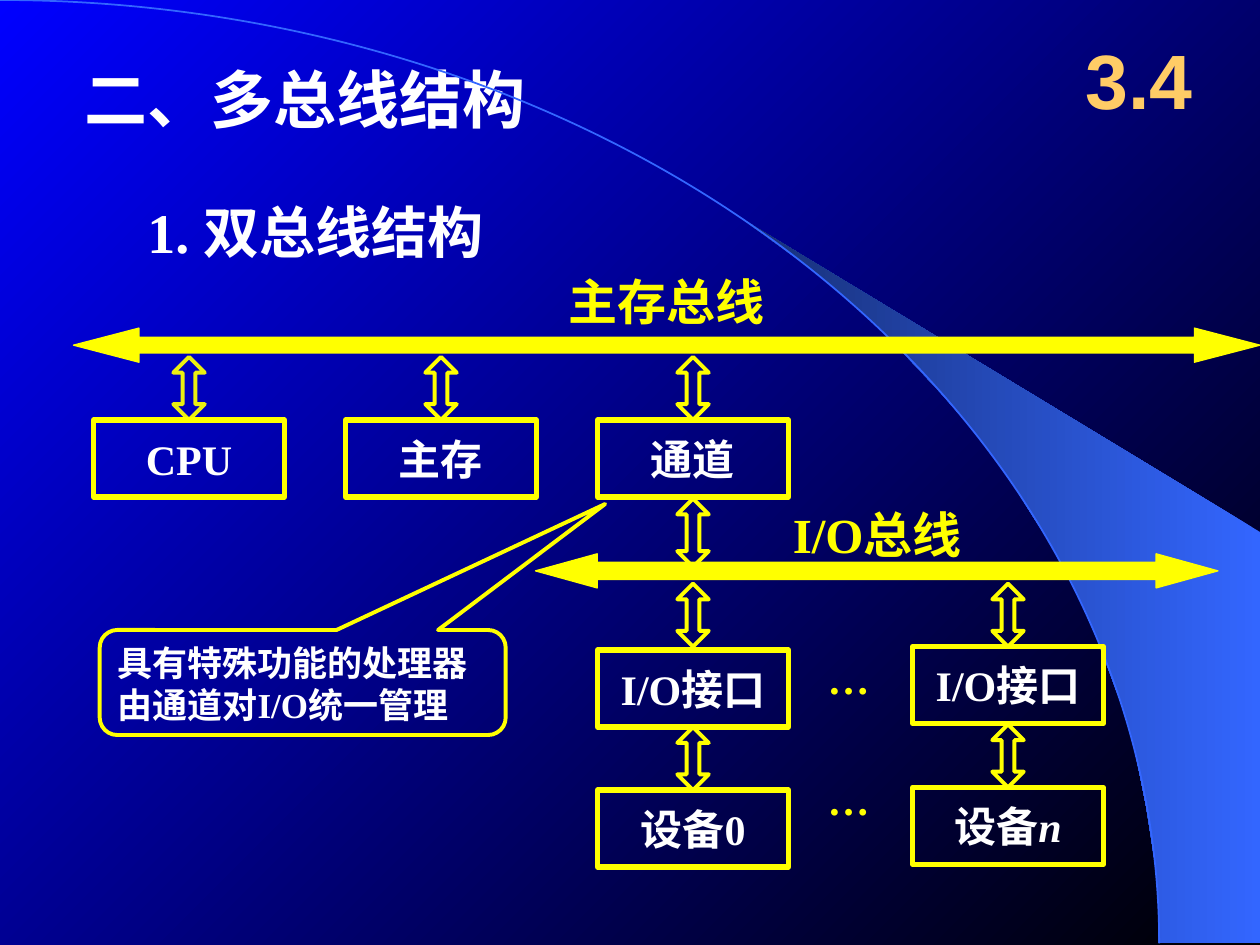
import math
from dataclasses import dataclass

import pptx
import pptx.dml.color
import pptx.enum.shapes
import pptx.enum.text
import pptx.oxml
import pptx.oxml.ns
import pptx.util

Pt = pptx.util.Pt
RGBColor = pptx.dml.color.RGBColor
Shape = pptx.enum.shapes.MSO_SHAPE
Align = pptx.enum.text.PP_ALIGN
Anchor = pptx.enum.text.MSO_ANCHOR

WHITE = RGBColor(0xFF, 0xFF, 0xFF)
YELLOW = RGBColor(0xFF, 0xFF, 0x00)
LIME = RGBColor(0xEB, 0xF0, 0x10)
ORANGE = RGBColor(0xFF, 0xCC, 0x66)
BLACK = RGBColor(0x00, 0x00, 0x00)
BLUE = RGBColor(0x00, 0x00, 0xFF)
ARC_BLUE = RGBColor(0x33, 0x66, 0xFF)
DARK_BLUE = RGBColor(0x17, 0x2F, 0x75)

LATIN = "Times New Roman"
CJK = "Noto Sans CJK SC"
BOX_WIDTH, BOX_HEIGHT = 109, 44
ARROW_WIDTH, ARROW_HEIGHT = 18, 36
ARC_X, ARC_Y = 662.4, 539


@dataclass(frozen=True)
class Span:
    text: str
    font: str = LATIN
    italic: bool = False


@dataclass(frozen=True)
class Unit:
    """A box of the diagram, with the arrow that joins it to what is above."""
    spans: tuple[Span, ...]
    centre: float
    top: float
    arrow_top: float
    arrow_colour: RGBColor = YELLOW


@dataclass(frozen=True)
class Bus:
    left: float
    top: float
    width: float
    shaft: float
    head: float


@dataclass(frozen=True)
class Label:
    span: Span
    left: float
    top: float
    width: float
    height: float
    size: float
    colour: RGBColor = YELLOW
    align: Align = Align.LEFT
    anchor: Anchor = Anchor.TOP


UNITS = (
    Unit((Span("CPU"),), 108, 240, 204, LIME),
    Unit((Span("主存", CJK),), 252, 240, 204),
    Unit((Span("通道", CJK),), 396, 240, 204),
    Unit((Span("I/O接口"),), 396, 371.5, 333.5),
    Unit((Span("设备0"),), 396, 451.5, 415.5),
    Unit((Span("I/O接口"),), 576, 369.5, 333.5),
    Unit((Span("设备"), Span("n", italic=True)), 576, 450, 414),
)
BUSES = (
    Bus(42, 187.5, 678, 0.46, 1.92),
    Bus(306, 316.5, 390, 0.5, 1.81),
)
LABELS = (
    Label(Span("主存总线", CJK), 325, 155, 192, 34, 28),
    Label(Span("I/O总线"), 453, 288, 159, 34, 28),
    Label(Span("…"), 473, 373, 24, 29, 24),
    Label(Span("…"), 473, 442, 24, 29, 24),
    Label(Span("3.4", "Arial"), 606, 12, 90, 66, 44, ORANGE, Align.CENTER, Anchor.MIDDLE),
)


def add_span(para, span: Span, size: float, colour: RGBColor) -> None:
    run = para.add_run()
    run.text = span.text
    font = run.font
    font.name, font.size, font.bold = span.font, Pt(size), True
    font.color.rgb = colour
    if span.italic:
        font.italic = True
    latin = run._r.get_or_add_rPr().find(pptx.oxml.ns.qn("a:latin"))
    latin.addnext(pptx.oxml.parse_xml(
        f'<a:ea {pptx.oxml.ns.nsdecls("a")} typeface="{CJK}"/>'))


def set_frame(frame, anchor: Anchor, margin_x: float = 0, margin_y: float = 0) -> None:
    frame.word_wrap = False
    frame.auto_size = pptx.enum.text.MSO_AUTO_SIZE.NONE
    frame.vertical_anchor = anchor
    frame.margin_left = frame.margin_right = Pt(margin_x)
    frame.margin_top = frame.margin_bottom = Pt(margin_y)


def set_gradient(fill, colours: tuple[RGBColor, RGBColor], angle: float) -> None:
    fill.gradient()
    fill.gradient_angle = angle
    for stop, colour in zip(fill.gradient_stops, colours):
        stop.color.rgb = colour


def add_outline(page, kind: Shape, left: float, top: float, width: float, height: float,
                colour: RGBColor, weight: float, adjustments: tuple[float, ...] = ()):
    """Add an unfilled preset shape."""
    shape = page.shapes.add_shape(kind, Pt(left), Pt(top), Pt(width), Pt(height))
    shape.shadow.inherit = False
    shape.fill.background()
    shape.line.color.rgb = colour
    shape.line.width = Pt(weight)
    for index, value in enumerate(adjustments):
        shape.adjustments[index] = value
    return shape


def add_backdrop(page) -> None:
    set_gradient(page.background.fill, (BLACK, BLUE), 135)
    start = math.acos(424 / ARC_X)
    steps = 24
    curve = [(ARC_X * math.cos(start * step / steps),
              ARC_Y * (1 - math.sin(start * step / steps)))
             for step in range(steps, -1, -1)]
    builder = page.shapes.build_freeform(*curve[0], scale=Pt(1))
    builder.add_line_segments(curve[1:] + [(719.5, ARC_Y), (719.5, 304.5)])
    beam = builder.convert_to_shape()
    beam.shadow.inherit = False
    set_gradient(beam.fill, (ARC_BLUE, DARK_BLUE), 180)
    beam.line.fill.background()
    add_outline(page, Shape.ARC, -ARC_X, 0, 2 * ARC_X, 2 * ARC_Y, ARC_BLUE, 1)


def fill_placeholder(box, text: str, left: float, top: float, width: float,
                     height: float, size: float) -> None:
    box.left, box.top, box.width, box.height = map(Pt, (left, top, width, height))
    set_frame(box.text_frame, Anchor.TOP, 7.2, 3.6)
    para = box.text_frame.paragraphs[0]
    para.alignment = Align.LEFT
    para.space_before = Pt(0)
    properties = para._p.get_or_add_pPr()
    properties.set("marL", "0")
    properties.set("indent", "0")
    properties.append(pptx.oxml.parse_xml(f'<a:buNone {pptx.oxml.ns.nsdecls("a")}/>'))
    add_span(para, Span(text), size, WHITE)


def add_arrow(page, centre: float, top: float, height: float, colour: RGBColor) -> None:
    add_outline(page, Shape.UP_DOWN_ARROW, centre - ARROW_WIDTH / 2, top,
                ARROW_WIDTH, height, colour, 2.25, (0.5, 0.4))


def add_unit(page, unit: Unit) -> None:
    add_arrow(page, unit.centre, unit.arrow_top, ARROW_HEIGHT, unit.arrow_colour)
    box = add_outline(page, Shape.RECTANGLE, unit.centre - BOX_WIDTH / 2, unit.top,
                      BOX_WIDTH, BOX_HEIGHT, YELLOW, 3)
    set_frame(box.text_frame, Anchor.MIDDLE)
    para = box.text_frame.paragraphs[0]
    para.alignment = Align.CENTER
    for span in unit.spans:
        add_span(para, span, 24, WHITE)


def add_bus(page, bus: Bus) -> None:
    arrow = add_outline(page, Shape.LEFT_RIGHT_ARROW, bus.left, bus.top, bus.width, 19.5,
                        YELLOW, 0.75, (bus.shaft, bus.head))
    arrow.fill.solid()
    arrow.fill.fore_color.rgb = YELLOW


def add_label(page, label: Label) -> None:
    box = page.shapes.add_textbox(*map(Pt, (label.left, label.top, label.width, label.height)))
    set_frame(box.text_frame, label.anchor)
    para = box.text_frame.paragraphs[0]
    para.alignment = label.align
    add_span(para, label.span, label.size, label.colour)


def add_callout(page, lines: tuple[str, ...]) -> None:
    callout = add_outline(page, Shape.ROUNDED_RECTANGULAR_CALLOUT, 57, 360, 232, 60,
                          YELLOW, 2.25, (0.745, -1.7, 0.167))
    frame = callout.text_frame
    set_frame(frame, Anchor.TOP, 7.2, 3.6)
    for index, line in enumerate(lines):
        para = frame.add_paragraph() if index else frame.paragraphs[0]
        para.alignment = Align.LEFT
        add_span(para, Span(line), 20, WHITE)


def main() -> None:
    deck = pptx.Presentation()
    deck.slide_width, deck.slide_height = Pt(720), Pt(540)
    page = deck.slides.add_slide(deck.slide_layouts[1])
    add_backdrop(page)
    fill_placeholder(page.shapes.title, "二、多总线结构", 41, 31, 290, 50, 36)
    fill_placeholder(page.placeholders[1], "1. 双总线结构", 77, 109.5, 240, 46, 32)
    add_callout(page, ("具有特殊功能的处理器", "由通道对I/O统一管理"))
    add_arrow(page, 396, 285, 39, YELLOW)
    for unit in UNITS:
        add_unit(page, unit)
    for bus in BUSES:
        add_bus(page, bus)
    for label in LABELS:
        add_label(page, label)
    deck.save("out.pptx")


if __name__ == "__main__":
    main()
